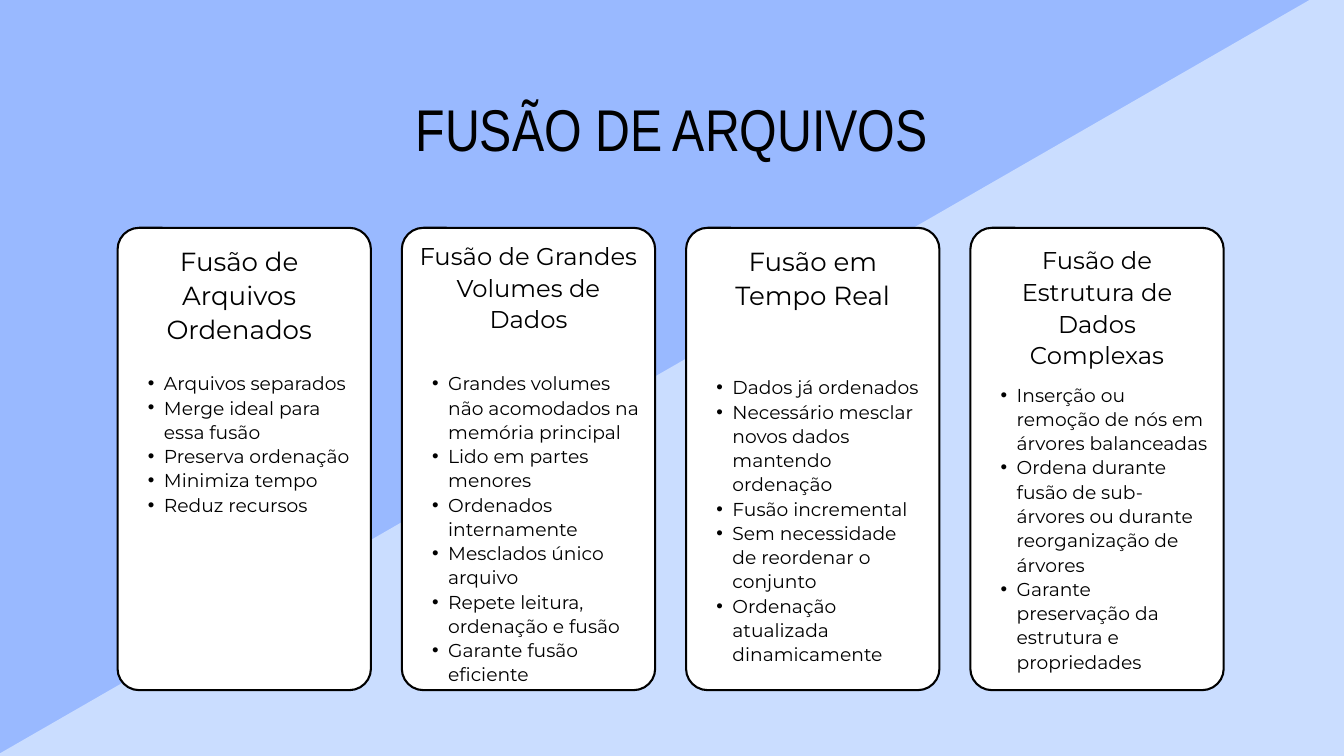
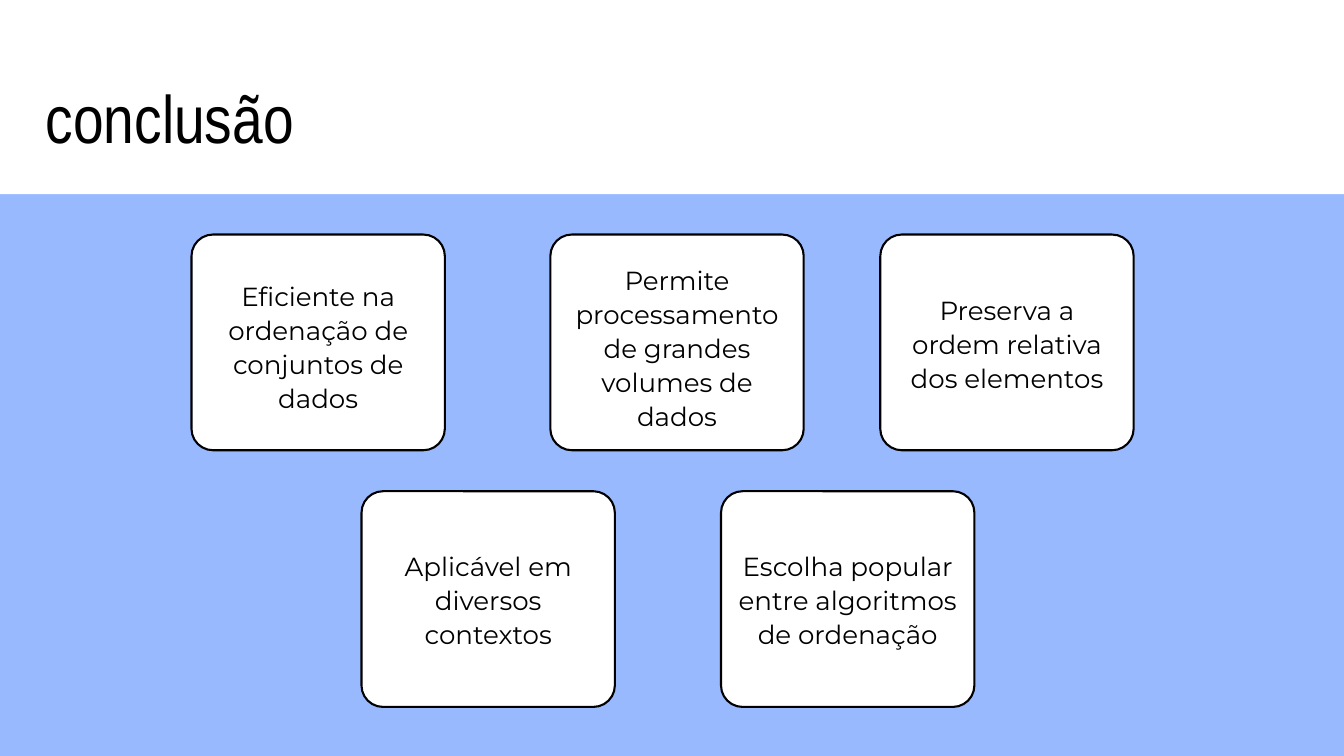
from lxml import etree
from pptx import Presentation
from pptx import util as u
from pptx.dml import color
from pptx.enum import shapes, text
from pptx.oxml import ns

BLUE = "99B9FF"
LIGHT_BLUE = "CADDFF"
WHITE = "FFFFFF"
BLACK = "000000"
TITLE_FONT = "Arial Narrow"
BODY_FONT = "Montserrat"
LINE_RATIO = 1.3
CARD_WIDTH = 3.77
CARD_RADIUS = 0.32
CARD_PADDING = 0.22
INNER_WIDTH = CARD_WIDTH - 2 * CARD_PADDING
BULLET_INDENT = 0.47
BULLET_HANG = 0.24

FUSION_TOP, FUSION_HEIGHT = 3.39, 6.88
FUSION_LEFT, FUSION_STEP = 1.75, 4.23
FUSION_CARDS = [
    {
        "heading": "Fusão de Arquivos Ordenados",
        "heading_box": (1.81, 3.61, 3.5, 1.49), "size": 28,
        "list_top": 5.51, "list_height": 2.13,
        "items": ["Arquivos separados", "Merge ideal para essa fusão",
                  "Preserva ordenação", "Minimiza tempo", "Reduz recursos"],
    },
    {
        "heading": "Fusão de Grandes Volumes de Dados",
        "heading_box": (6.2, 3.56, 3.33, 1.39), "size": 26,
        "list_top": 5.51, "list_height": 4.61,
        "items": ["Grandes volumes não acomodados na memória principal",
                  "Lido em partes menores", "Ordenados internamente",
                  "Mesclados único arquivo", "Repete leitura, ordenação e fusão",
                  "Garante fusão eficiente"],
    },
    {
        "heading": "Fusão em Tempo Real",
        "heading_box": (10.43, 3.61, 3.33, 0.99), "size": 28,
        "list_top": 5.57, "list_height": 4.25,
        "items": ["Dados já ordenados",
                  "Necessário mesclar novos dados mantendo ordenação",
                  "Fusão incremental", "Sem necessidade de reordenar o conjunto",
                  "Ordenação atualizada dinamicamente"],
    },
    {
        "heading": "Fusão de Estrutura de Dados Complexas",
        "heading_box": (14.87, 3.62, 2.91, 1.86), "size": 26,
        "list_top": 5.68, "list_height": 3.9,
        "items": ["Inserção ou remoção de nós em árvores balanceadas",
                  "Ordena durante fusão de sub-árvores ou durante reorganização de árvores",
                  "Garante preservação da estrutura e propriedades"],
    },
]

CONCLUSION_HEIGHT = 3.21
UPPER_ROW, LOWER_ROW = 3.49, 7.31
CONCLUSIONS = [
    (2.85, UPPER_ROW, 4.14, 1.99, "Eficiente na ordenação de conjuntos de dados"),
    (8.19, UPPER_ROW, 3.89, 2.49, "Permite processamento de grandes volumes de dados"),
    (13.1, UPPER_ROW, 4.34, 1.49, "Preserva a ordem relativa dos elementos"),
    (5.38, LOWER_ROW, 8.15, 1.49, "Aplicável em diversos contextos"),
    (10.73, LOWER_ROW, 8.15, 1.49, "Escolha popular entre algoritmos de ordenação"),
]


def rgb(value):
    return color.RGBColor.from_string(value)


def add_slide(presentation):
    slide = presentation.slides.add_slide(presentation.slide_layouts[6])
    fill = slide.background.fill
    fill.solid()
    fill.fore_color.rgb = rgb(BLUE)
    return slide


def add_block(slide, kind, box, fill):
    shape = slide.shapes.add_shape(kind, *map(u.Inches, box))
    shape.shadow.inherit = False
    shape.fill.solid()
    shape.fill.fore_color.rgb = rgb(fill)
    shape.line.fill.background()
    return shape


def add_card(slide, left, top, height):
    box = (left, top, CARD_WIDTH, height)
    shape = add_block(slide, shapes.MSO_SHAPE.ROUNDED_RECTANGLE, box, WHITE)
    shape.adjustments[0] = CARD_RADIUS / min(CARD_WIDTH, height)
    shape.line.color.rgb = rgb(BLACK)
    shape.line.width = u.Pt(2.25)


def set_bullet(paragraph):
    paragraph.level = 1
    properties = paragraph._p.get_or_add_pPr()
    properties.set("marL", str(u.Inches(BULLET_INDENT)))
    properties.set("indent", str(-u.Inches(BULLET_HANG)))
    font = etree.SubElement(properties, ns.qn("a:buFont"))
    font.set("typeface", "Arial")
    bullet = etree.SubElement(properties, ns.qn("a:buChar"))
    bullet.set("char", "•")


def add_text(slide, box, lines, size, font=BODY_FONT, spacing=None,
             align=text.PP_ALIGN.CENTER, bullets=False):
    frame = slide.shapes.add_textbox(*map(u.Inches, box)).text_frame
    frame.word_wrap = True
    frame.auto_size = text.MSO_AUTO_SIZE.SHAPE_TO_FIT_TEXT
    frame.margin_left = frame.margin_right = 0
    frame.margin_top = frame.margin_bottom = 0
    for index, line in enumerate(lines):
        paragraph = frame.add_paragraph() if index else frame.paragraphs[0]
        if bullets:
            set_bullet(paragraph)
        paragraph.alignment = align
        paragraph.line_spacing = u.Pt(spacing or round(size * LINE_RATIO, 1))
        run = paragraph.add_run()
        run.text = line
        run.font.name = font
        run.font.size = u.Pt(size)
        run.font.color.rgb = rgb(BLACK)


def add_title(slide, box, title, size, spacing, align):
    add_text(slide, box, [title], size, TITLE_FONT, spacing, align)


def build_fusion(presentation):
    slide = add_slide(presentation)
    add_block(slide, shapes.MSO_SHAPE.DIAMOND, (-0.72, -0.79, 43.16, 24.83), LIGHT_BLUE)
    add_title(slide, (5.09, 1.55, 9.82, 0.95), "FUSÃO DE ARQUIVOS", 63.1, 63.8,
              text.PP_ALIGN.CENTER)
    for index, card in enumerate(FUSION_CARDS):
        left = FUSION_LEFT + index * FUSION_STEP
        add_card(slide, left, FUSION_TOP, FUSION_HEIGHT)
        add_text(slide, card["heading_box"], [card["heading"]], card["size"])
        list_box = (left + CARD_PADDING, card["list_top"], INNER_WIDTH, card["list_height"])
        add_text(slide, list_box, card["items"], 20,
                 align=text.PP_ALIGN.LEFT, bullets=True)


def build_conclusion(presentation):
    slide = add_slide(presentation)
    add_block(slide, shapes.MSO_SHAPE.RECTANGLE, (0, 0, 20, 2.89), WHITE)
    add_title(slide, (0.68, 1.09, 9.13, 1.24), "conclusão", 72, 89.3,
              text.PP_ALIGN.LEFT)
    for left, top, text_top, text_height, statement in CONCLUSIONS:
        add_card(slide, left, top, CONCLUSION_HEIGHT)
        add_text(slide, (left + CARD_PADDING, text_top, INNER_WIDTH, text_height),
                 [statement], 28)


def main():
    presentation = Presentation()
    presentation.slide_width = u.Inches(20)
    presentation.slide_height = u.Inches(11.25)
    build_fusion(presentation)
    build_conclusion(presentation)
    presentation.save("out.pptx")


if __name__ == "__main__":
    main()
